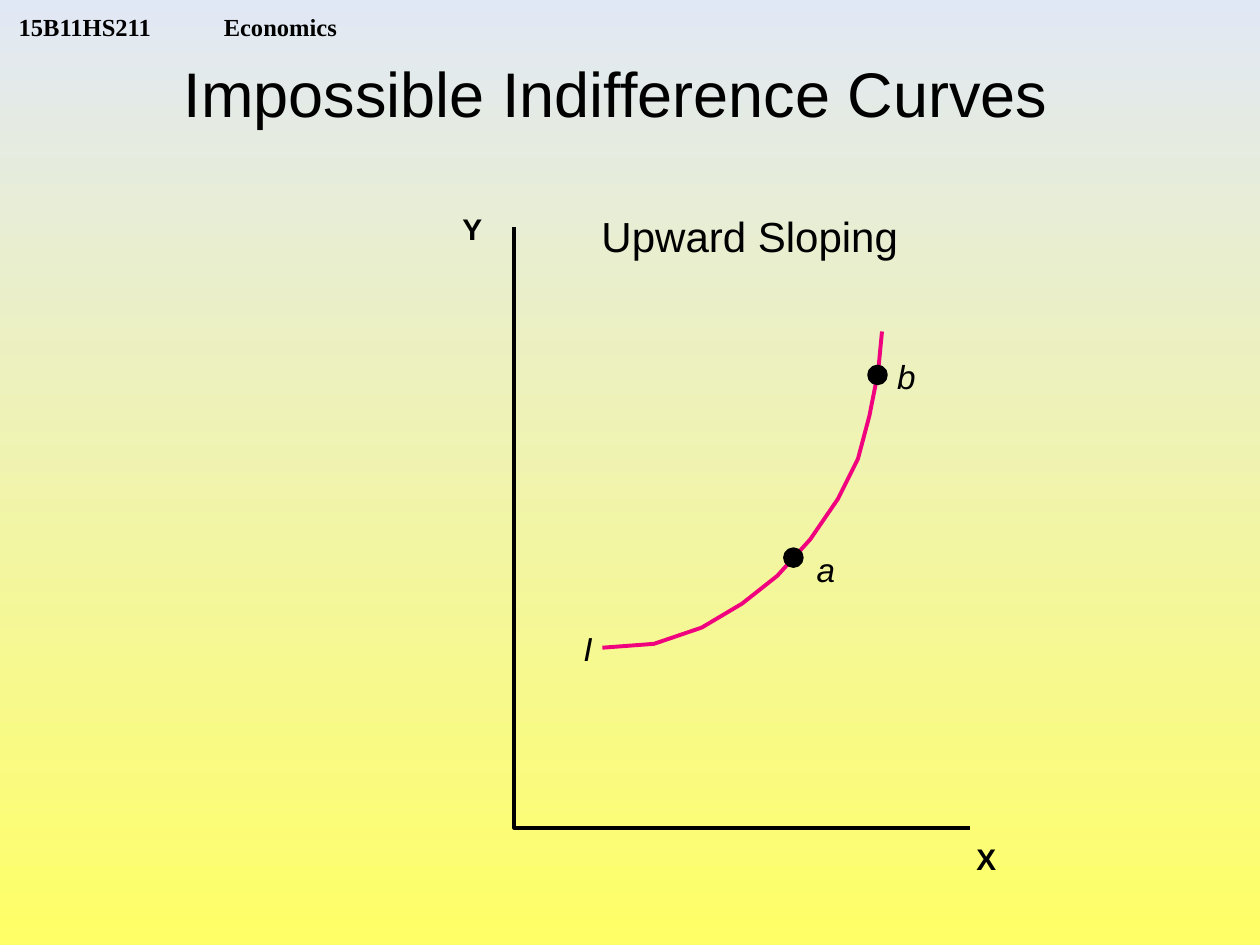
from dataclasses import dataclass

from lxml import etree
from pptx import Presentation
from pptx import util as u
from pptx.dml.color import RGBColor
from pptx.enum import shapes, text
from pptx.oxml import ns

COLORS = {
    "ink": "000000",
    "curve": "F0027F",
    "bottom": "FFFF66",
    "top": "E1E8F5",
}
LINE_WIDTH = 2.25
DOT_SIZE = 9.5


@dataclass(frozen=True)
class Label:
    words: str
    left: float
    top: float
    width: float
    height: float
    size: float
    font: str = "Arial"
    bold: bool = False
    italic: bool = False
    margins: tuple[float, float] = (0, 0)
    anchor: text.MSO_ANCHOR = text.MSO_ANCHOR.TOP


@dataclass(frozen=True)
class Path:
    points: tuple[tuple[float, float], ...]
    color: str


@dataclass(frozen=True)
class Dot:
    left: float
    top: float


TITLE = Label("Impossible Indifference Curves", 97.9, 27.4, 508.3, 50.4, 36,
              margins=(7.2, 3.6))
HEADER = Label("15B11HS211\tEconomics", 3.6, 0, 230.4, 23.8, 14, "Times New Roman",
               bold=True, margins=(7.2, 0), anchor=text.MSO_ANCHOR.BOTTOM)
HEADER_TAB = 117.2
LABELS = (
    Label("Upward Sloping", 343.7, 120.2, 169.7, 28.8, 24),
    Label("I", 333.4, 359.3, 5, 23, 19, italic=True),
    Label("a", 466.6, 313.9, 10.8, 23, 19, italic=True),
    Label("b", 512.6, 203.8, 10.8, 23, 19, italic=True),
    Label("Y", 264.2, 120.2, 11.5, 20.2, 17, bold=True),
    Label("X", 558, 480.2, 11.5, 20.2, 17, bold=True),
)
CURVE = Path(
    ((344.2, 370.1), (373.7, 367.9), (401, 358.6), (424.1, 344.9),
     (444.2, 329), (463, 308.2), (478.8, 285.1), (490.3, 262.1),
     (496.8, 237.6), (501.8, 212.4), (504, 189.4)),
    "curve",
)
AXES = Path(((554.4, 473), (293.8, 473), (293.8, 129.6)), "ink")
DOTS = (Dot(496.7, 209.5), Dot(448.6, 313.9))


def rgb(name: str) -> RGBColor:
    return RGBColor.from_string(COLORS[name])


def write_label(shape, label: Label) -> None:
    shape.left, shape.top = u.Pt(label.left), u.Pt(label.top)
    shape.width, shape.height = u.Pt(label.width), u.Pt(label.height)
    frame = shape.text_frame
    frame.text = label.words
    frame.word_wrap = False
    frame.auto_size = text.MSO_AUTO_SIZE.NONE
    frame.vertical_anchor = label.anchor
    side, end = label.margins
    frame.margin_left = frame.margin_right = u.Pt(side)
    frame.margin_top = frame.margin_bottom = u.Pt(end)
    paragraph = frame.paragraphs[0]
    paragraph.alignment = text.PP_ALIGN.LEFT
    for run in paragraph.runs:
        run.font.name = label.font
        run.font.size = u.Pt(label.size)
        run.font.bold = label.bold
        run.font.italic = label.italic
        run.font.color.rgb = rgb("ink")


def add_label(slide, label: Label):
    shape = slide.shapes.add_textbox(0, 0, 0, 0)
    write_label(shape, label)
    return shape


def add_tab_stop(paragraph, position: float) -> None:
    properties = paragraph._p.get_or_add_pPr()
    tabs = etree.SubElement(properties, ns.qn("a:tabLst"))
    etree.SubElement(tabs, ns.qn("a:tab"), pos=str(u.Pt(position)), algn="l")


def style_line(shape, color: str) -> None:
    shape.shadow.inherit = False
    shape.line.color.rgb = rgb(color)
    shape.line.width = u.Pt(LINE_WIDTH)


def add_path(slide, path: Path) -> None:
    points = [(u.Pt(x), u.Pt(y)) for x, y in path.points]
    builder = slide.shapes.build_freeform(*points[0])
    builder.add_line_segments(points[1:], close=False)
    shape = builder.convert_to_shape()
    shape.fill.background()
    style_line(shape, path.color)


def add_dot(slide, dot: Dot) -> None:
    shape = slide.shapes.add_shape(
        shapes.MSO_SHAPE.OVAL, u.Pt(dot.left), u.Pt(dot.top),
        u.Pt(DOT_SIZE), u.Pt(DOT_SIZE))
    shape.fill.solid()
    shape.fill.fore_color.rgb = rgb("ink")
    style_line(shape, "ink")


def paint_background(slide) -> None:
    fill = slide.background.fill
    fill.gradient()
    fill.gradient_angle = 90
    for stop, name in zip(fill.gradient_stops, ("bottom", "top")):
        stop.color.rgb = rgb(name)


def main() -> None:
    presentation = Presentation()
    presentation.slide_width, presentation.slide_height = u.Pt(720), u.Pt(540)
    slide = presentation.slides.add_slide(presentation.slide_layouts[5])
    paint_background(slide)
    write_label(slide.shapes.title, TITLE)
    header = add_label(slide, HEADER)
    add_tab_stop(header.text_frame.paragraphs[0], HEADER_TAB)
    for path in (CURVE, AXES):
        add_path(slide, path)
    for dot in DOTS:
        add_dot(slide, dot)
    for label in LABELS:
        add_label(slide, label)
    presentation.save("out.pptx")


if __name__ == "__main__":
    main()
